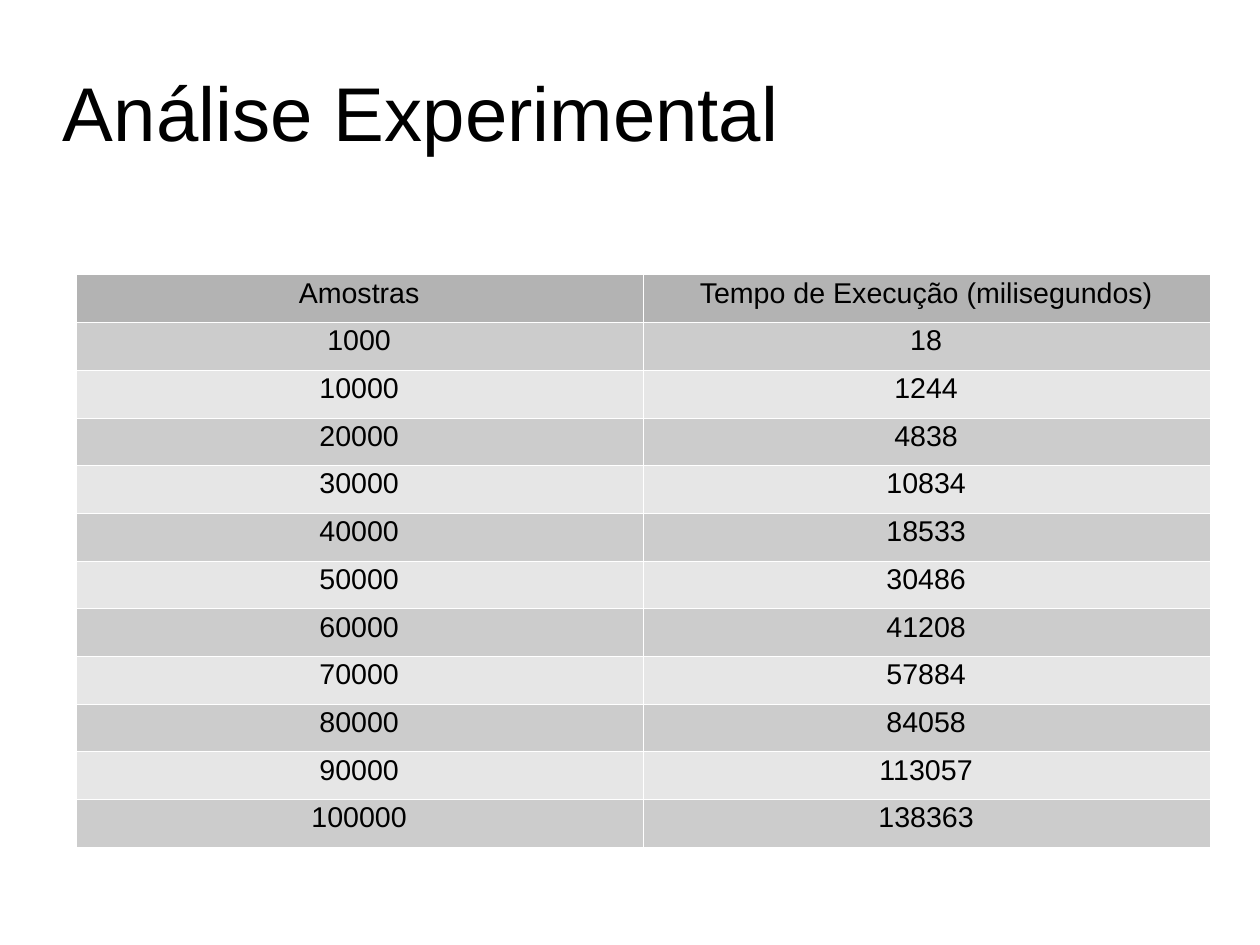
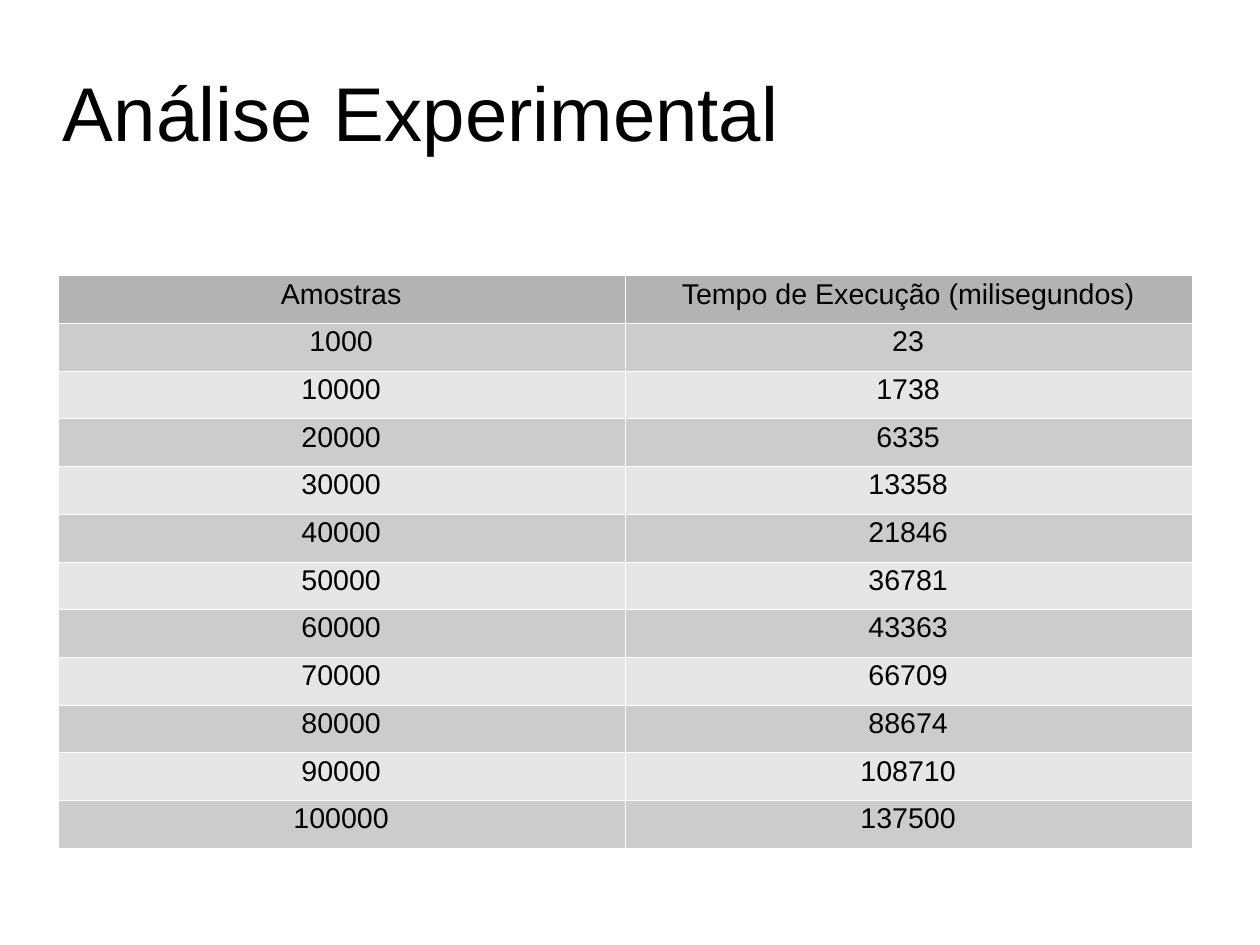
from pptx import Presentation
from pptx.dml.color import RGBColor
from pptx.enum.text import MSO_ANCHOR, MSO_AUTO_SIZE, PP_ALIGN
from pptx.oxml import parse_xml
from pptx.oxml.ns import nsdecls
from pptx.util import Cm, Pt

# Content
TITLE = "Análise Experimental"
HEAD = ("Amostras", "Tempo de Execução (milisegundos)")
SIZES = [1000] + list(range(10000, 100001, 10000))
RUNS = [
    {"left": 1.68, "top": 6.1, "times": [
        18, 1244, 4838, 10834, 18533, 30486,
        41208, 57884, 84058, 113057, 138363]},
    {"left": 1.28, "top": 6.12, "times": [
        23, 1738, 6335, 13358, 21846, 36781,
        43363, 66709, 88674, 108710, 137500]},
]

# Shared style
BLACK = RGBColor(0x00, 0x00, 0x00)
WHITE = RGBColor(0xFF, 0xFF, 0xFF)
DARK = RGBColor(0xB3, 0xB3, 0xB3)
BANDS = (RGBColor(0xCC, 0xCC, 0xCC), RGBColor(0xE6, 0xE6, 0xE6))
FONT = "Arial"
COL, ROW = Cm(12.6), Cm(1.06)
EDGE = Pt(0.06)
TITLE_BOX = {"left": Cm(1.4), "top": Cm(0.8),
             "width": Cm(19.5), "height": Cm(3.45)}
TITLE_FRAME = {"margin_left": 0, "margin_top": Cm(0.1),
               "margin_right": 0, "margin_bottom": 0,
               "vertical_anchor": MSO_ANCHOR.MIDDLE,
               "word_wrap": True, "auto_size": MSO_AUTO_SIZE.NONE}
TITLE_PARA = {"alignment": PP_ALIGN.LEFT, "line_spacing": 0.94}
CELL_PARA = {"alignment": PP_ALIGN.CENTER, "line_spacing": 0.89}
CELL_FORM = {"margin_left": Cm(0.25), "margin_top": Cm(0.13),
             "margin_right": Cm(0.25), "margin_bottom": Cm(0.13),
             "vertical_anchor": MSO_ANCHOR.TOP}
PLAIN = {"first_row": False, "horz_banding": False}


def apply(item, form):
    for key, value in form.items():
        setattr(item, key, value)


def write(frame, text, size, form):
    para = frame.paragraphs[0]
    apply(para, form)
    run = para.add_run()
    run.text = text
    apply(run.font, {"name": FONT, "size": Pt(size), "bold": False})
    run.font.color.rgb = BLACK


def add_edges(cell):
    props = cell._tc.get_or_add_tcPr()
    for side in "LRTB":
        props.append(parse_xml(
            f'<a:ln{side} {nsdecls("a")} w="{EDGE}"><a:solidFill>'
            f'<a:srgbClr val="{WHITE}"/></a:solidFill></a:ln{side}>'))


def add_title(slide):
    title = slide.shapes.title
    apply(title, TITLE_BOX)
    apply(title.text_frame, TITLE_FRAME)
    write(title.text_frame, TITLE, 48, TITLE_PARA)


def add_grid(slide, left, top, times):
    rows = [HEAD] + list(zip(SIZES, times))
    table = slide.shapes.add_table(
        len(rows), len(HEAD), Cm(left), Cm(top),
        COL * len(HEAD), ROW * len(rows)).table
    apply(table, PLAIN)
    for col in table.columns:
        col.width = COL
    for r, row in enumerate(rows):
        table.rows[r].height = ROW
        for c, value in enumerate(row):
            cell = table.cell(r, c)
            apply(cell, CELL_FORM)
            write(cell.text_frame, str(value), 18, CELL_PARA)
            # Borders come before the fill in the cell properties
            add_edges(cell)
            cell.fill.solid()
            cell.fill.fore_color.rgb = BANDS[(r - 1) % 2] if r else DARK


def main():
    deck = Presentation()
    deck.slide_width, deck.slide_height = Cm(28), Cm(21)
    for run in RUNS:
        slide = deck.slides.add_slide(deck.slide_layouts[5])
        add_title(slide)
        add_grid(slide, **run)
    deck.save("out.pptx")


if __name__ == "__main__":
    main()
